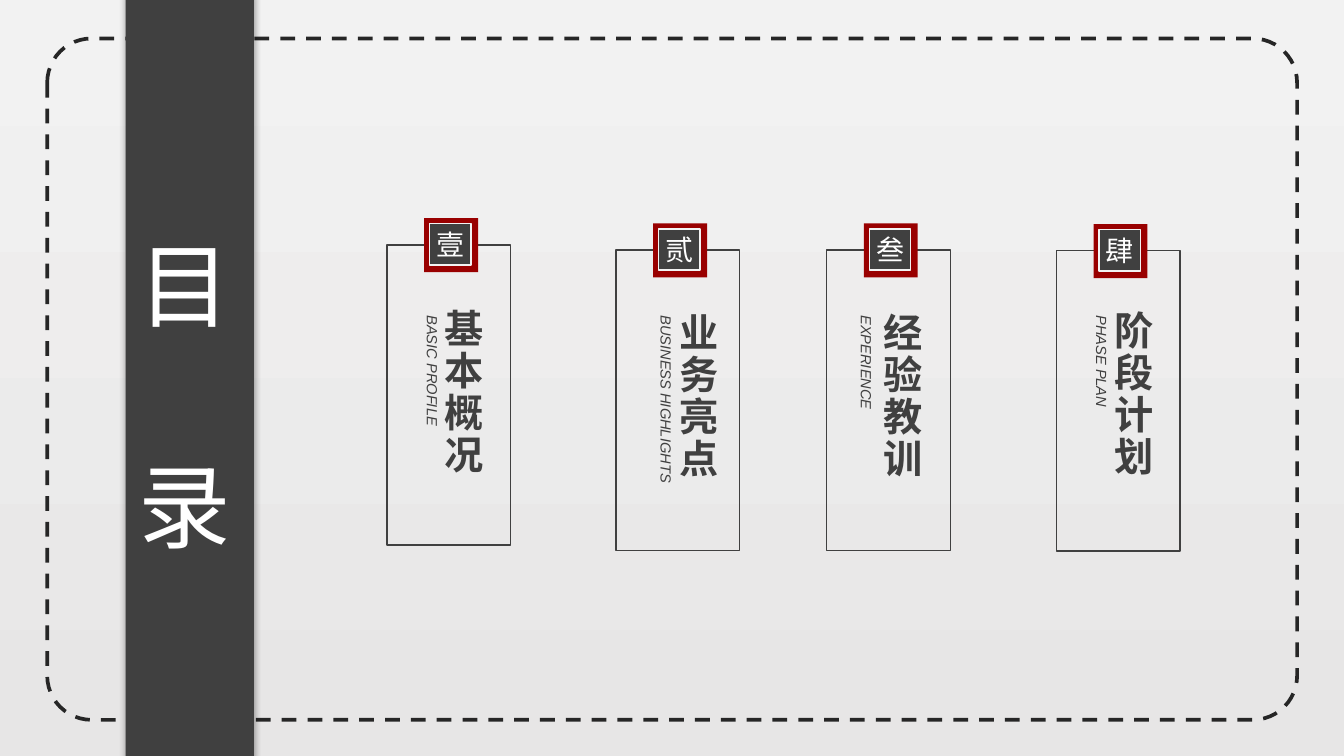
import pptx
import pptx.util
import pptx.dml.color
import pptx.enum.dml
import pptx.enum.shapes
import pptx.enum.text
import pptx.oxml
import pptx.oxml.ns

Cm, Pt = pptx.util.Cm, pptx.util.Pt
SHAPE = pptx.enum.shapes.MSO_SHAPE
ALIGN = pptx.enum.text.PP_ALIGN
ANCHOR = pptx.enum.text.MSO_ANCHOR
AUTO_SIZE = pptx.enum.text.MSO_AUTO_SIZE

TITLE = "目录"
# Positions and lengths in cm.
CARDS = [
    {"number": "壹", "heading": "基本概况", "caption": "BASIC PROFILE", "card": (9.75, 6.17),
     "heading_at": (10.69, 7.54), "caption_centre": 10.9, "caption_length": 3.3},
    {"number": "贰", "heading": "业务亮点", "caption": "BUSINESS HIGHLIGHTS", "card": (15.52, 6.3),
     "heading_at": (16.59, 7.65), "caption_centre": 16.79, "caption_length": 5.84},
    {"number": "叁", "heading": "经验教训", "caption": "EXPERIENCE", "card": (20.83, 6.3),
     "heading_at": (21.74, 7.65), "caption_centre": 21.84, "caption_length": 3.3},
    {"number": "肆", "heading": "阶段计划", "caption": "PHASE PLAN", "card": (26.62, 6.32),
     "heading_at": (27.56, 7.59), "caption_centre": 27.77, "caption_length": 3.89},
]
COLOURS = {"top": "F2F2F2", "bottom": "E7E6E6", "frame": "262626",
           "dark": "404040", "red": "990000", "white": "FFFFFF"}
FONT = "Arial"
FORMATS = {
    "title": {"size": Pt(66), "bold": False},
    "number": {"size": Pt(20)},
    "heading": {"size": Pt(28), "bold": True},
    "caption": {"size": Pt(10.5), "italic": True},
}
CARD_WIDTH, CARD_HEIGHT = 3.12, 7.57
BADGE, BADGE_INDENT, BADGE_RISE = 1.36, 0.94, 0.67
SEAL, SEAL_INSET = 1.04, 0.14
HEADING_WIDTH, HEADING_HEIGHT = 1.7, 5.74
CAPTION_TOP, CAPTION_THICKNESS = 7.7, 0.7


def rgb(name):
    return pptx.dml.color.RGBColor.from_string(COLOURS[name])


def add_box(shapes, kind, box, fill=None, line=None, width=1):
    shape = shapes.add_shape(kind, *map(Cm, box))
    shape.shadow.inherit = False
    if fill:
        shape.fill.solid()
        shape.fill.fore_color.rgb = rgb(fill)
    else:
        shape.fill.background()
    if line:
        shape.line.color.rgb = rgb(line)
        shape.line.width = Pt(width)
    else:
        shape.line.fill.background()
    return shape


def write(shape, text, style, colour, alignment=ALIGN.LEFT, **frame_values):
    frame = shape.text_frame
    for name, value in ({"word_wrap": True} | frame_values).items():
        setattr(frame, name, value)
    paragraph = frame.paragraphs[0]
    paragraph.alignment = alignment
    run = paragraph.add_run()
    run.text = text
    for name, value in ({"name": FONT} | FORMATS[style]).items():
        setattr(run.font, name, value)
    run.font.color.rgb = rgb(colour)
    properties = run._r.get_or_add_rPr()
    east_asian = pptx.oxml.parse_xml(
        f'<a:ea {pptx.oxml.ns.nsdecls("a")} typeface="{FONT}"/>')
    properties.append(east_asian)
    return properties


def add_shadow(shape):
    effects = shape._element.spPr.find(pptx.oxml.ns.qn("a:effectLst"))
    effects.append(pptx.oxml.parse_xml(
        f'<a:outerShdw {pptx.oxml.ns.nsdecls("a")} blurRad="{Pt(5)}" dist="0">'
        '<a:srgbClr val="000000"><a:alpha val="40000"/></a:srgbClr></a:outerShdw>'))


def add_background(slide):
    fill = slide.background.fill
    fill.gradient()
    fill.gradient_angle = 270
    for stop, position, name in zip(fill.gradient_stops, (0, 1), ("top", "bottom")):
        stop.position = position
        stop.color.rgb = rgb(name)


def add_frame(slide):
    """Add the dashed frame to the slide's layout."""
    frame = add_box(slide.shapes, SHAPE.ROUNDED_RECTANGLE, (1.19, 0.97, 31.5, 17.17),
                    line="frame", width=2.65)
    frame.adjustments[0] = 0.065
    frame.line.dash_style = pptx.enum.dml.MSO_LINE.DASH
    slide.slide_layout.shapes.element.append(frame.element)


def add_title(slide):
    band = add_box(slide.shapes, SHAPE.RECTANGLE, (3.17, -0.15, 3.23, 19.4), fill="dark")
    add_shadow(band)
    title = slide.shapes.title
    title.left, title.top, title.width, title.height = map(Cm, (3.23, 2.82, 3.23, 11.53))
    write(title, TITLE, "title", "white", vertical_anchor=ANCHOR.TOP,
          auto_size=AUTO_SIZE.SHAPE_TO_FIT_TEXT)
    title.text_frame.paragraphs[0].line_spacing = 2.0
    band.element.addnext(title.element)


def add_card(slide, card):
    left, top = card["card"]
    add_box(slide.shapes, SHAPE.RECTANGLE, (left, top, CARD_WIDTH, CARD_HEIGHT), line="dark")

    badge = slide.shapes.add_group_shape().shapes
    badge_left, badge_top = left + BADGE_INDENT, top - BADGE_RISE
    add_box(badge, SHAPE.RECTANGLE, (badge_left, badge_top, BADGE, BADGE), fill="red")
    seal = add_box(badge, SHAPE.RECTANGLE,
                   (badge_left + SEAL_INSET, badge_top + SEAL_INSET, SEAL, SEAL),
                   fill="dark", line="top")
    write(seal, card["number"], "number", "white", ALIGN.CENTER, vertical_anchor=ANCHOR.MIDDLE,
          margin_left=0, margin_right=0, margin_top=0, margin_bottom=0)

    heading = slide.shapes.add_textbox(
        *map(Cm, (*card["heading_at"], HEADING_WIDTH, HEADING_HEIGHT)))
    write(heading, card["heading"], "heading", "dark").set("spc", "200")
    heading.text_frame._txBody.bodyPr.set("vert", "eaVert")

    length = card["caption_length"]
    caption = slide.shapes.add_textbox(
        Cm(card["caption_centre"] - length / 2),
        Cm(CAPTION_TOP + (length - CAPTION_THICKNESS) / 2),
        Cm(length), Cm(CAPTION_THICKNESS))
    caption.rotation = 90
    write(caption, card["caption"], "caption", "dark")


def main():
    presentation = pptx.Presentation()
    presentation.slide_width, presentation.slide_height = Cm(33.87), Cm(19.05)
    slide = presentation.slides.add_slide(presentation.slide_layouts.get_by_name("Title Only"))
    add_background(slide)
    add_frame(slide)
    add_title(slide)
    for card in CARDS:
        add_card(slide, card)
    presentation.save("out.pptx")


if __name__ == "__main__":
    main()
